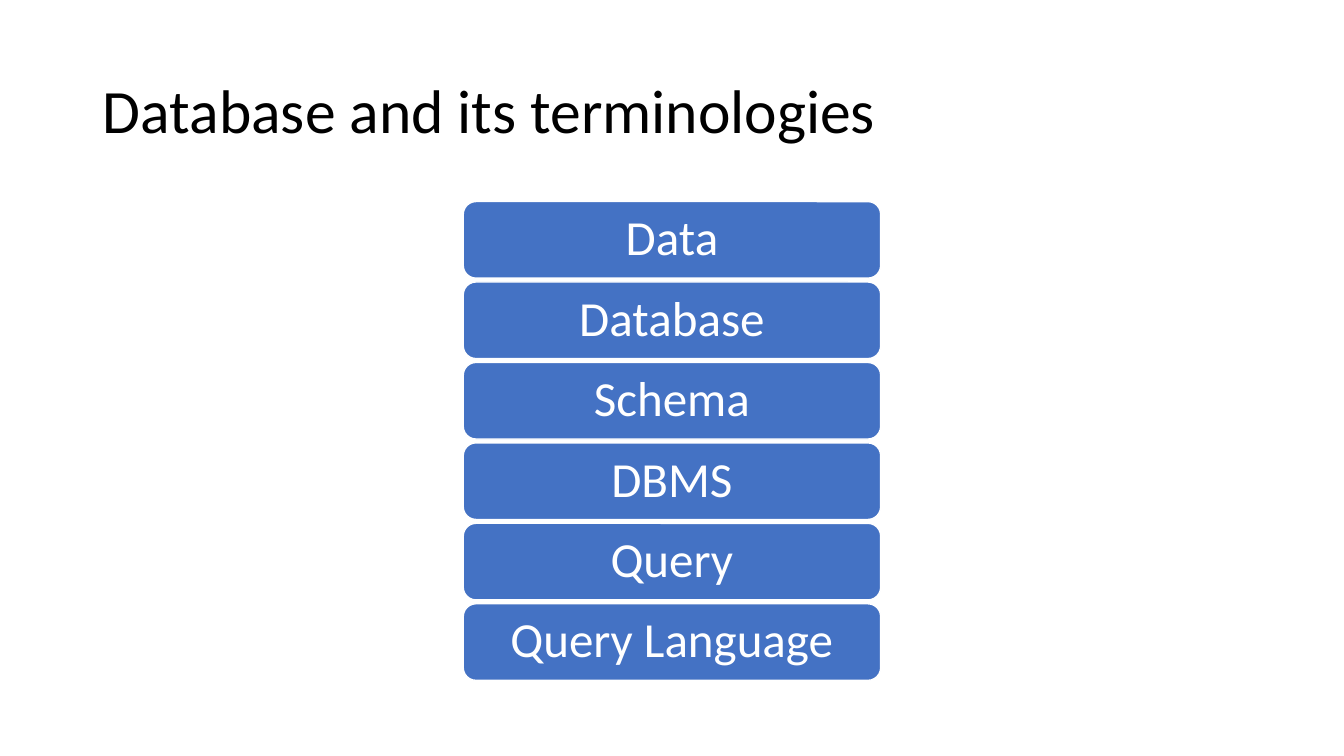
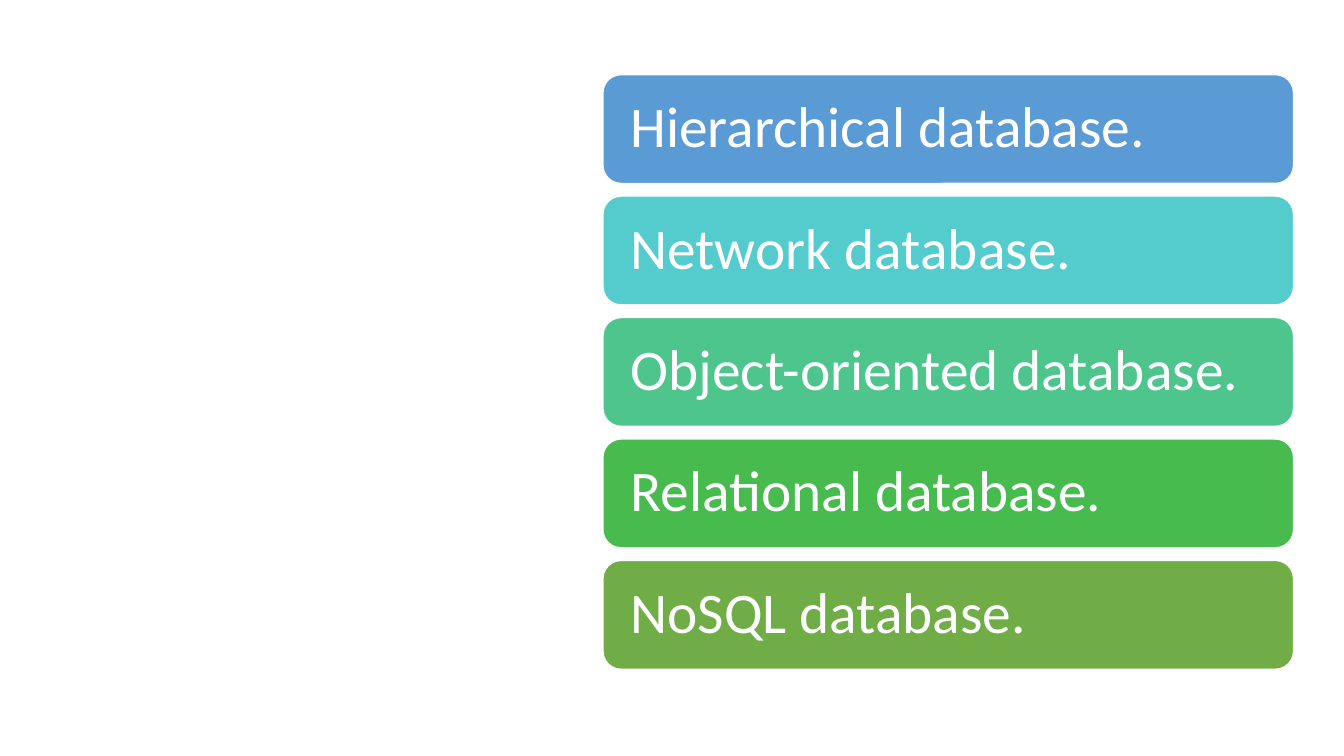
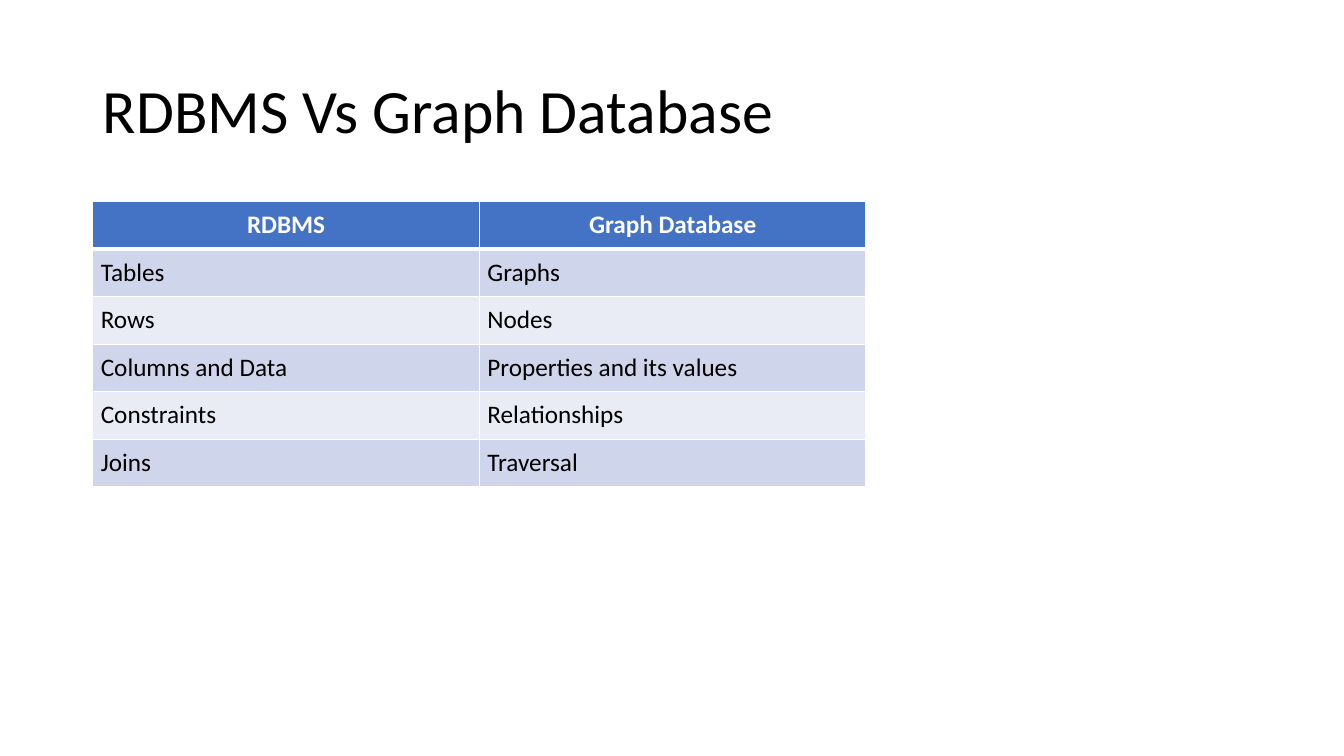
import pptx
import pptx.util
import pptx.dml.color
import pptx.enum.shapes
import pptx.enum.text
import pptx.oxml
import pptx.oxml.ns

Inches, Pt = pptx.util.Inches, pptx.util.Pt
ALIGN = pptx.enum.text.PP_ALIGN
MIDDLE = pptx.enum.text.MSO_ANCHOR.MIDDLE

WIDTH, HEIGHT = 13.33, 7.5
MARGIN, BODY_TOP = 0.92, 2
TITLE_ONLY, BLANK = 5, 6
FONT = "Calibri"
COLORS = {
    "ink": "000000",
    "white": "FFFFFF",
    "accent": "4472C4",
    "sky": "5B9BD5",
    "aqua": "54CCCD",
    "mint": "4DC58D",
    "green": "48BB4F",
    "olive": "70AD47",
    "band_dark": "CFD5EA",
    "band_light": "E9EBF5",
}


def rgb(name):
    return pptx.dml.color.RGBColor.from_string(COLORS[name])


def set_fill(target, color):
    target.fill.solid()
    target.fill.fore_color.rgb = rgb(color)


def style(p, size, color, align=ALIGN.LEFT, bold=False, spacing=None):
    p.alignment = align
    p.line_spacing = spacing
    p.font.name = FONT
    p.font.size = Pt(size)
    p.font.bold = bold
    p.font.color.rgb = rgb(color)


def add_title_slide(prs, text):
    s = prs.slides.add_slide(prs.slide_layouts[TITLE_ONLY])
    title = s.shapes.title
    title.left, title.top = Inches(MARGIN), Inches(0.4)
    title.width, title.height = Inches(WIDTH - 2 * MARGIN), Inches(1.45)
    tf = title.text_frame
    tf.text = text
    tf.vertical_anchor = MIDDLE
    style(tf.paragraphs[0], 44, "ink", spacing=0.9)
    return s


def add_stack(s, items, box, bar_height, size, insets, align):
    left, top, width, height = box
    pitch = (height - bar_height) / (len(items) - 1)
    for i, (text, color) in enumerate(items):
        sp = s.shapes.add_shape(
            pptx.enum.shapes.MSO_SHAPE.ROUNDED_RECTANGLE,
            Inches(left), Inches(top + i * pitch), Inches(width), Inches(bar_height))
        sp.shadow.inherit = False
        set_fill(sp, color)
        sp.line.color.rgb = rgb("white")
        sp.line.width = Pt(1)
        tf = sp.text_frame
        tf.word_wrap = True
        tf.vertical_anchor = MIDDLE
        tf.margin_left = tf.margin_right = Inches(insets[0])
        tf.margin_top = tf.margin_bottom = Inches(insets[1])
        tf.text = text
        style(tf.paragraphs[0], size, "white", align, spacing=0.9)


def set_borders(cell, **widths):
    tc_pr = cell._tc.get_or_add_tcPr()
    for side in "LRTB":
        tc_pr.append(pptx.oxml.parse_xml(
            f'<a:ln{side} {pptx.oxml.ns.nsdecls("a")} w="{Pt(widths.get(side, 1))}">'
            f'<a:solidFill><a:srgbClr val="{COLORS["white"]}"/></a:solidFill>'
            f'</a:ln{side}>'))


def add_comparison(s, rows, left, top, width, height):
    table = s.shapes.add_table(
        len(rows), len(rows[0]),
        Inches(left), Inches(top), Inches(width), Inches(height)).table
    for i, row in enumerate(rows):
        header = i == 0
        fill = "accent" if header else ("band_light", "band_dark")[i % 2]
        for j, text in enumerate(row):
            cell = table.cell(i, j)
            cell.margin_left = cell.margin_right = Inches(0.08)
            cell.margin_top = cell.margin_bottom = Inches(0.08)
            set_borders(cell, B=3 if header else 1, T=3 if i == 1 else 1)
            set_fill(cell, fill)
            cell.text = text
            style(cell.text_frame.paragraphs[0], 18,
                  "white" if header else "ink",
                  ALIGN.CENTER if header else ALIGN.LEFT, header)


def main():
    prs = pptx.Presentation()
    prs.slide_width, prs.slide_height = Inches(WIDTH), Inches(HEIGHT)

    s = add_title_slide(prs, "Database and its terminologies")
    terms = ["Data", "Database", "Schema", "DBMS", "Query", "Query Language"]
    add_stack(s, [(term, "accent") for term in terms],
              ((WIDTH - 4.14) / 2, BODY_TOP, 4.14, 4.75), 0.76, 35,
              (0.18, 0.1), ALIGN.CENTER)

    s = prs.slides.add_slide(prs.slide_layouts[BLANK])
    kinds = [
        ("Hierarchical database.", "sky"),
        ("Network database.", "aqua"),
        ("Object-oriented database.", "mint"),
        ("Relational database.", "green"),
        ("NoSQL database.", "olive"),
    ]
    add_stack(s, kinds, (5.98, 0.74, 6.85, 5.9), 1.08, 41,
              (0.22, 0.22), ALIGN.LEFT)

    s = add_title_slide(prs, "RDBMS Vs Graph Database")
    add_comparison(s, [
        ("RDBMS", "Graph Database"),
        ("Tables", "Graphs"),
        ("Rows", "Nodes"),
        ("Columns and Data", "Properties and its values"),
        ("Constraints", "Relationships"),
        ("Joins", "Traversal"),
    ], MARGIN, BODY_TOP, 7.67, 2.83)

    prs.save("out.pptx")


if __name__ == "__main__":
    main()
